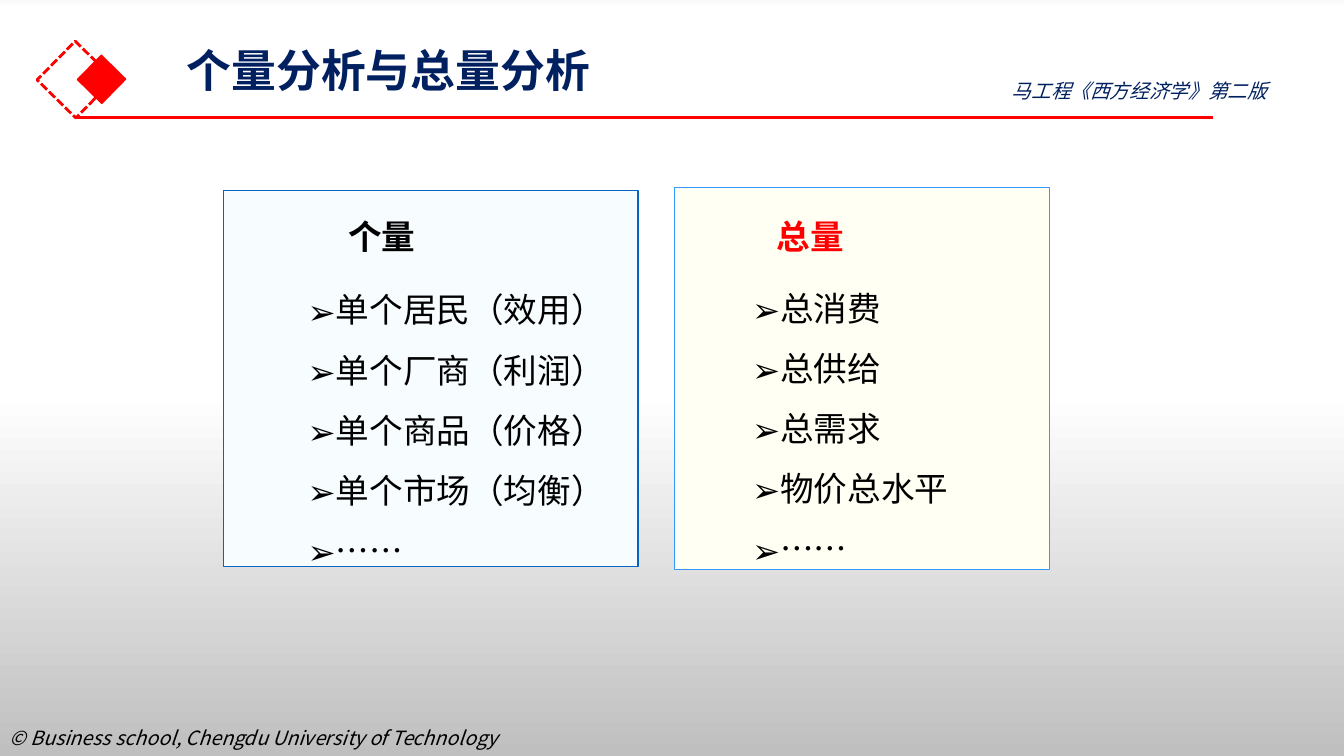
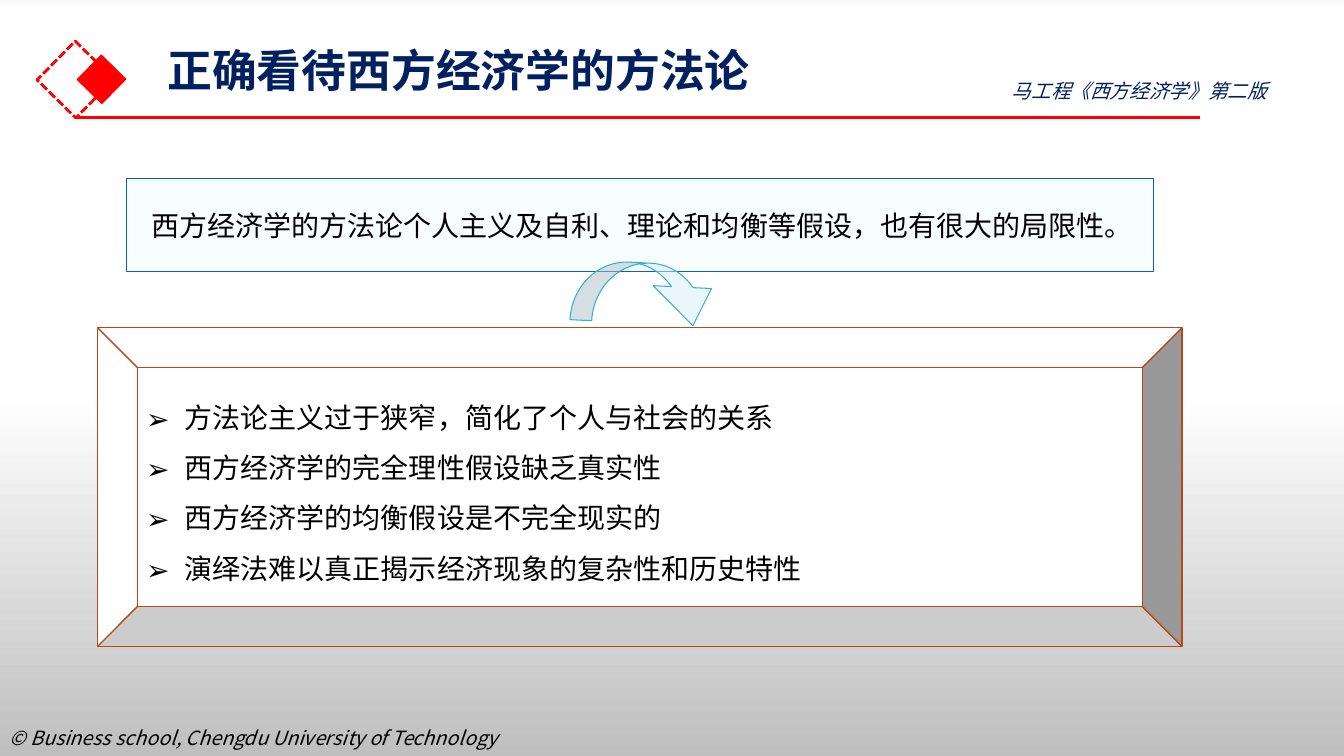
import lxml.etree
import pptx
import pptx.dml.color
import pptx.enum.dml
import pptx.enum.shapes
import pptx.enum.text
import pptx.oxml.ns
import pptx.util

Cm = pptx.util.Cm
Pt = pptx.util.Pt
qn = pptx.oxml.ns.qn
rgb = pptx.dml.color.RGBColor.from_string
PRESET = pptx.enum.shapes.MSO_SHAPE
ALIGN = pptx.enum.text.PP_ALIGN
ANCHOR = pptx.enum.text.MSO_ANCHOR

FONT = "Noto Sans CJK SC"
NAVY, RED, BLACK = "002060", "FF0000", "000000"
ICE, IVORY, WHITE = "F7FCFF", "FFFFF3", "FFFFFF"
BLUE, SKY = "0563C1", "3399FF"


def write(holder, text, box, size, color=BLACK, bold=False, italic=False,
          align=ALIGN.LEFT, anchor=ANCHOR.TOP, leading=None, bullet=None,
          margin=0, indent=0):
    holder.left, holder.top, holder.width, holder.height = map(Cm, box)
    frame = holder.text_frame
    frame.word_wrap = True
    frame.auto_size = pptx.enum.text.MSO_AUTO_SIZE.NONE
    frame.vertical_anchor = anchor
    frame.text = text
    for paragraph in frame.paragraphs:
        paragraph.alignment = align
        paragraph.space_before = Pt(0)
        if leading:
            paragraph.line_spacing = Pt(leading)
        if bullet:
            properties = paragraph._p.get_or_add_pPr()
            properties.set("marL", str(Cm(margin)))
            properties.set("indent", str(Cm(indent)))
            lxml.etree.SubElement(properties, qn("a:buFont")).set("typeface", FONT)
            lxml.etree.SubElement(properties, qn("a:buChar")).set("char", bullet)
        for run in paragraph.runs:
            run.font.size = Pt(size)
            run.font.bold = bold
            run.font.italic = italic
            run.font.color.rgb = rgb(color)
            run.font.name = FONT
            lxml.etree.SubElement(run.font._element, qn("a:ea")).set("typeface", FONT)
    return holder


def draw(slide, preset, box, fill, line, weight, rotation=0):
    shape = slide.shapes.add_shape(preset, *map(Cm, box))
    shape.shadow.inherit = False
    shape.rotation = rotation
    if fill:
        shape.fill.solid()
        shape.fill.fore_color.rgb = rgb(fill)
    else:
        shape.fill.background()
    shape.line.color.rgb = rgb(line)
    shape.line.width = Pt(weight)
    return shape


deck = pptx.Presentation()
deck.slide_width, deck.slide_height = Cm(33.87), Cm(19.05)
master = deck.slide_master

backdrop = master.background.fill
backdrop.gradient()
backdrop.gradient_angle = 270
stops = master.element.xpath(".//p:bg//a:gsLst")[0]
for stop in list(stops):
    stops.remove(stop)
for percent, color in [(0, "F9F9F9"), (1, WHITE), (52, WHITE), (100, "BFBFBF")]:
    stop = lxml.etree.SubElement(stops, qn("a:gs"))
    stop.set("pos", str(percent * 1000))
    lxml.etree.SubElement(stop, qn("a:srgbClr")).set("val", color)

comparison = deck.slides.add_slide(deck.slide_layouts[3])
critique = deck.slides.add_slide(deck.slide_layouts[1])

blank_box = (0, 0, 0, 0)
copyright_line = write(
    comparison.shapes.add_textbox(*blank_box),
    "© Business school, Chengdu University of Technology",
    (0, 18.16, 16.1, 1.42), 14, italic=True, leading=17)
book_label = write(
    comparison.shapes.add_textbox(*blank_box), "马工程《西方经济学》第二版",
    (25.25, 1.85, 8.23, 0.86), 14, color=NAVY, italic=True, leading=17)
dashed_diamond = draw(comparison, PRESET.RECTANGLE, (1.22, 1.32, 1.37, 1.37),
                      None, RED, 2, rotation=314.5)
dashed_diamond.line.dash_style = pptx.enum.dml.MSO_LINE.SQUARE_DOT
solid_diamond = draw(comparison, PRESET.RECTANGLE, (2.13, 1.57, 0.86, 0.86),
                     RED, RED, 1, rotation=314.5)
shared = [copyright_line, dashed_diamond, solid_diamond, book_label]
for number, part in enumerate(shared, start=20):
    part.element.xpath(".//p:cNvPr")[0].set("id", str(number))
    master.shapes.element.append(part.element)

for slide, title, title_left, rule_end in [
    (comparison, "个量分析与总量分析", 4.45, 30.58),
    (critique, "正确看待西方经济学的方法论", 3.96, 30.23),
]:
    write(slide.shapes.title, title, (title_left, 1.04, 29.21, 2.41), 32,
          color=NAVY, bold=True, leading=36)
    rule = slide.shapes.add_connector(
        pptx.enum.shapes.MSO_CONNECTOR.STRAIGHT,
        Cm(1.9), Cm(2.97), Cm(rule_end), Cm(2.97))
    rule.line.color.rgb = rgb(RED)
    rule.line.width = Pt(2.25)
    lxml.etree.SubElement(rule.element.spPr, qn("a:effectLst"))

columns = [
    ("个量", BLACK, 8.53, (5.64, 4.8, 10.44, 9.47), ICE, BLUE,
     (6.43, 7.29, 9.09, 6.58),
     ["单个居民（效用）", "单个厂商（利润）", "单个商品（价格）", "单个市场（均衡）", "……"]),
    ("总量", RED, 19.33, (17, 4.72, 9.45, 9.63), IVORY, SKY,
     (17.63, 7.21, 9.8, 6.65),
     ["总消费", "总供给", "总需求", "物价总水平", "……"]),
]
for index, column in enumerate(columns, start=1):
    heading, color, heading_left, panel_box, fill, line, list_box, items = column
    panel = draw(comparison, PRESET.RECTANGLE, panel_box, fill, line, 0.75)
    comparison.shapes.element.insert(2, panel.element)
    write(comparison.placeholders[index], "\n".join(items), list_box, 24,
          anchor=ANCHOR.MIDDLE, leading=43, bullet="➢", indent=1.07)
    write(comparison.shapes.add_textbox(*blank_box), heading,
          (heading_left, 5, 3.61, 1.9), 24, color=color, bold=True,
          align=ALIGN.JUSTIFY, anchor=ANCHOR.MIDDLE)

bevel = draw(critique, PRESET.BEVEL, (2.46, 8.26, 27.33, 8.03), WHITE, "B74919", 1)
critique.shapes.element.insert(2, bevel.element)
draw(critique, PRESET.RECTANGLE, (3.2, 4.5, 25.88, 2.34), ICE, BLUE, 0.75)
write(critique.shapes.add_textbox(*blank_box),
      "西方经济学的方法论个人主义及自利、理论和均衡等假设，也有很大的局限性。",
      (3.56, 4.7, 25.55, 1.55), 20, leading=36)
limitations = [
    "方法论主义过于狭窄，简化了个人与社会的关系",
    "西方经济学的完全理性假设缺乏真实性",
    "西方经济学的均衡假设是不完全现实的",
    "演绎法难以真正揭示经济现象的复杂性和历史特性",
]
write(critique.placeholders[1], "\n".join(limitations), (3.43, 9.53, 25.35, 5.38), 20,
      leading=36, bullet="➢", margin=0.97, indent=-0.97)

turn = draw(critique, PRESET.CURVED_UP_ARROW, (14.4, 6.63, 3.84, 1.52),
            "D7EFF5", "36AFCE", 0.75, rotation=182.8)
turn.element.spPr.find(qn("a:xfrm")).set("flipH", "1")
for index, value in enumerate([0.36, 0.97, 0.63]):
    turn.adjustments[index] = value
tint = turn.element.spPr.find(qn("a:solidFill")).find(qn("a:srgbClr"))
lxml.etree.SubElement(tint, qn("a:alpha")).set("val", "50000")

deck.save("out.pptx")
